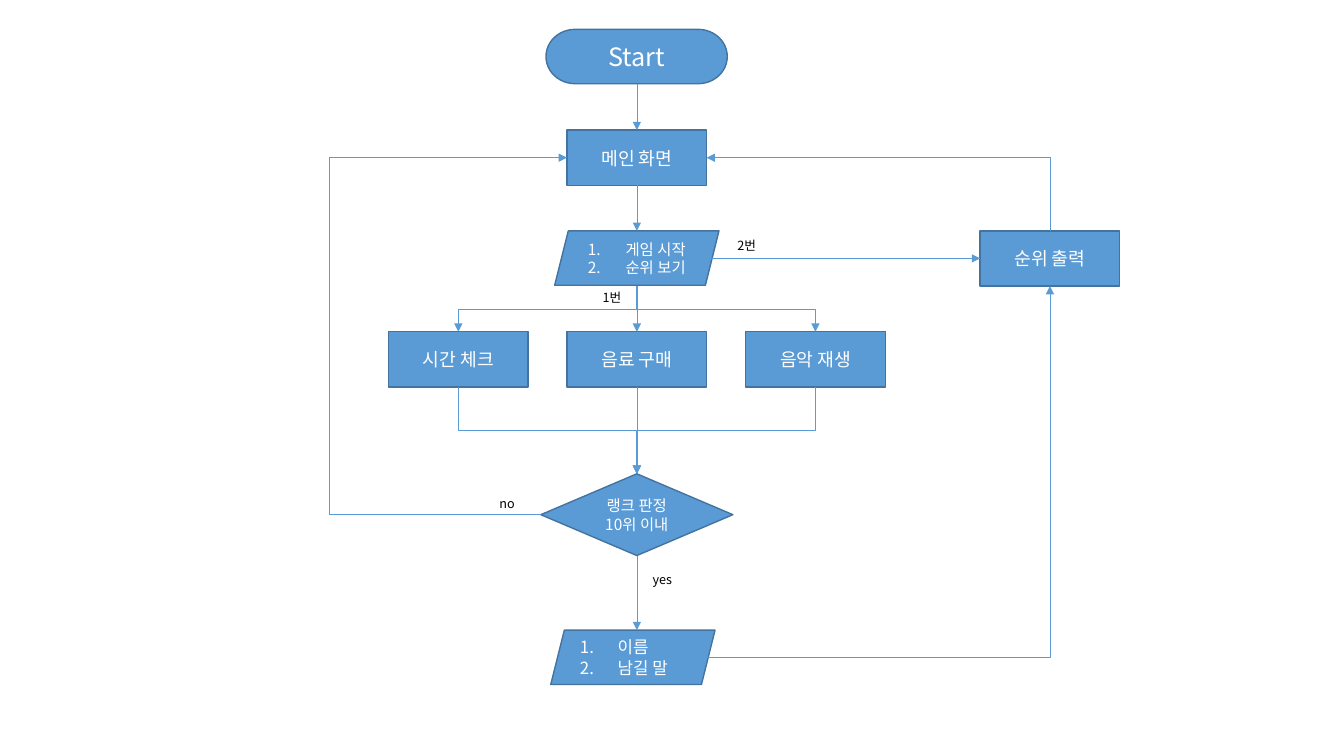
import pptx
import pptx.util
import pptx.dml.color
import pptx.enum.shapes
import pptx.enum.text
import pptx.oxml.ns
from lxml import etree

Cm, Pt = pptx.util.Cm, pptx.util.Pt
RGB = pptx.dml.color.RGBColor
KIND = pptx.enum.shapes.MSO_SHAPE
LINK = pptx.enum.shapes.MSO_CONNECTOR
ALIGN = pptx.enum.text.PP_ALIGN
qn = pptx.oxml.ns.qn

BLUE = RGB(0x5B, 0x9B, 0xD5)
EDGE = RGB(0x43, 0x73, 0x9E)
WHITE = RGB(0xFF, 0xFF, 0xFF)
BLACK = RGB(0, 0, 0)
FONT = "Noto Sans CJK KR"

WIDE, TALL = 3.52, 1.39   # process box
SLANT = 4.14              # width of an input box
STEP = 2.54               # from row to row
COL = 4.5                 # from column to column
RANK = 10.41              # from the main axis to the rank box


def node(slide, kind, box, lines, size, fill=BLUE, edge=EDGE, ink=WHITE,
         align=ALIGN.CENTER, count=False):
    """Draw a filled shape with its text, numbered if count is set."""
    shape = slide.shapes.add_shape(kind, *map(Cm, box))
    shape.shadow.inherit = False
    shape.fill.solid()
    shape.fill.fore_color.rgb = fill
    shape.line.color.rgb = edge
    shape.line.width = Pt(1)
    frame = shape.text_frame
    frame.word_wrap = True
    frame.vertical_anchor = pptx.enum.text.MSO_ANCHOR.MIDDLE
    frame.text = "\n".join(lines)
    for para in frame.paragraphs:
        para.alignment = align
        font = para.font
        font.size, font.name = Pt(size), FONT
        font.color.rgb = ink
        props = para._p.get_or_add_pPr()
        east = etree.SubElement(props.find(qn("a:defRPr")), qn("a:ea"))
        east.set("typeface", FONT)
        if count:
            props.set("marL", str(Cm(0.95)))
            props.set("indent", str(-Cm(0.95)))
            mark = etree.Element(qn("a:buAutoNum"), type="arabicPeriod")
            props.insert(0, mark)


def step(slide, mid, top, text):
    """Draw a process box centred on mid."""
    node(slide, KIND.RECTANGLE, (mid - WIDE / 2, top, WIDE, TALL), [text], 13)


def entry(slide, mid, top, lines, size, align):
    """Draw an input box with a numbered list."""
    node(slide, KIND.PARALLELOGRAM, (mid - SLANT / 2, top, SLANT, 1.37),
         lines, size, align=align, count=True)


def label(slide, left, top, text):
    """Draw a small white note beside an arrow."""
    node(slide, KIND.RECTANGLE, (left, top, 1.02, 0.41), [text], 9,
         WHITE, WHITE, BLACK)


def arrow(slide, start, end, form="line", turn=False, bend=None):
    """Draw an arrow; turn makes an elbow leave vertically."""
    (ax, ay), (bx, by) = start, end
    if turn:
        mx, my = (ax + bx) / 2, (ay + by) / 2
        dx, dy = (by - ay) / 2, (ax - bx) / 2
        ax, ay, bx, by = mx - dx, my - dy, mx + dx, my + dy
    kind = LINK.STRAIGHT if form == "line" else LINK.ELBOW
    link = slide.shapes.add_connector(kind, *map(Cm, (ax, ay, bx, by)))
    link.line.color.rgb = BLUE
    link.line.width = Pt(0.5)
    props = link._element.spPr
    etree.SubElement(props.find(qn("a:ln")), qn("a:tailEnd"), type="triangle")
    etree.SubElement(props, qn("a:effectLst"))
    geom = props.find(qn("a:prstGeom"))
    geom.set("prst", form)
    if turn:
        props.find(qn("a:xfrm")).set("rot", "5400000")
    if bend is not None:
        etree.SubElement(geom.find(qn("a:avLst")), qn("a:gd"),
                         name="adj1", fmla=f"val {round(bend * 100000)}")


def menu(slide, mid, top):
    """Draw the start, the main screen, the menu and the rank box."""
    home, pick = top + STEP, top + 2 * STEP
    node(slide, KIND.FLOWCHART_TERMINATOR, (mid - 2.29, top, 4.57, 1.37),
         ["Start"], 18)
    step(slide, mid, home, "메인 화면")
    entry(slide, mid, pick, ["게임 시작", "순위 보기"], 11, ALIGN.CENTER)
    step(slide, mid + RANK, pick, "순위 출력")
    arrow(slide, (mid, top + 1.37), (mid, home))
    arrow(slide, (mid, home + TALL), (mid, pick))
    arrow(slide, (mid + 1.88, pick + 0.69),
          (mid + RANK - WIDE / 2, pick + 0.69))
    arrow(slide, (mid + RANK, pick), (mid + WIDE / 2, home + TALL / 2),
          "bentConnector2", True)
    label(slide, mid + 2.26, pick + 0.15, "2번")


def game(slide, mid, top, goal):
    """Draw the three parallel steps between the menu and the goal."""
    source = (mid, top - STEP + TALL)
    for col, text in ((0, "음료 구매"), (-1, "시간 체크"), (1, "음악 재생")):
        x = mid + col * COL
        form, turn = ("bentConnector3", True) if col else ("line", False)
        step(slide, x, top, text)
        arrow(slide, source, (x, top), form, turn)
        arrow(slide, (x, top + TALL), (mid, goal), form, turn)
    label(slide, mid - 1.14, top - 1.07, "1번")


def result(slide, mid, top, home, rank):
    """Draw the rank test, the name entry and the ways back up."""
    half, high, last = 2.42, 2.06, top + 3.94
    test = top + high / 2
    node(slide, KIND.DIAMOND, (mid - half, top, 2 * half, high),
         ["랭크 판정", "10위 이내"], 11)
    entry(slide, mid - 0.1, last, ["이름", "남길 말"], 12, ALIGN.LEFT)
    arrow(slide, (mid, top + high), (mid, last))
    arrow(slide, (mid + 1.78, last + 0.69), (mid + RANK, rank),
          "bentConnector2")
    start, end = mid - half, mid - WIDE / 2
    side = mid - 7.74
    arrow(slide, (start, test), (end, home), "bentConnector3",
          bend=(side - start) / (end - start))
    label(slide, mid + 0.13, top + 2.46, "yes")
    label(slide, mid - 3.78, top + 0.53, "no")


def main():
    """Build the flow chart slide."""
    deck = pptx.Presentation()
    deck.slide_width, deck.slide_height = Cm(33.87), Cm(19.05)
    slide = deck.slides.add_slide(deck.slide_layouts[6])
    mid, top, goal = 16.05, 0.74, 11.94
    menu(slide, mid, top)
    game(slide, mid, top + 3 * STEP, goal)
    result(slide, mid, goal, top + STEP + TALL / 2, top + 2 * STEP + TALL)
    deck.save("out.pptx")


main()
